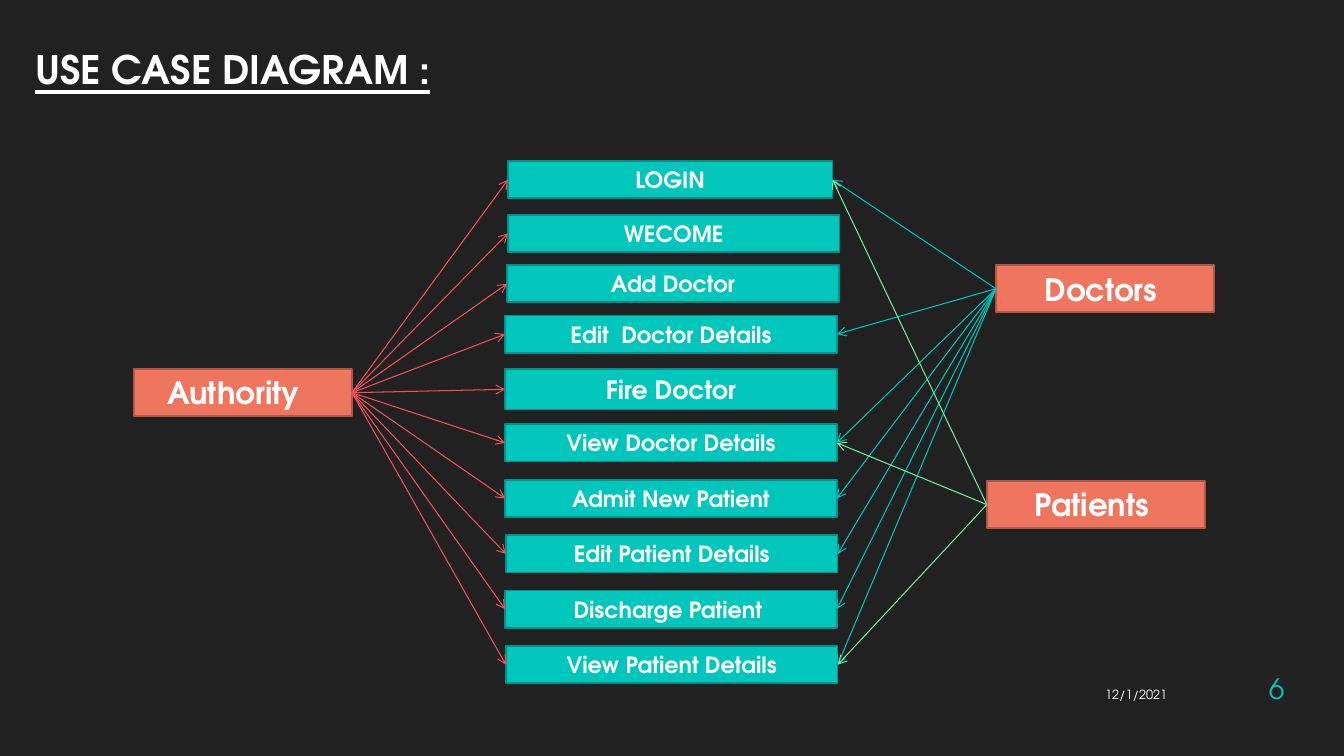
from lxml.etree import SubElement
from pptx import Presentation
from pptx.dml.color import RGBColor
from pptx.enum.shapes import MSO_CONNECTOR, MSO_SHAPE
from pptx.enum.text import MSO_ANCHOR, MSO_AUTO_SIZE, PP_ALIGN
from pptx.oxml.ns import qn
from pptx.util import Cm, Pt

FONT = "TeX Gyre Adventor"
WHITE, TEAL, CORAL = "FFFFFF", "00C6BB", "EF755F"
LEFT_SIDE, RIGHT_SIDE = 1, 3  # connection sites of a rectangle

# text: left, top, width, height in cm, font size
CASES = {
    "LOGIN": (12.8, 4.06, 8.18, 0.94, 16),
    "WECOME": (12.8, 5.41, 8.36, 0.94, 16),
    "Add Doctor": (12.78, 6.68, 8.36, 0.94, 16),
    "Edit  Doctor Details": (12.73, 7.95, 8.36, 0.94, 16),
    "Fire Doctor": (12.73, 9.3, 8.36, 1.02, 18),
    "View Doctor Details": (12.73, 10.69, 8.36, 0.94, 16),
    "Admit New Patient": (12.73, 12.09, 8.36, 0.94, 16),
    "Edit Patient Details": (12.75, 13.49, 8.36, 0.94, 16),
    "Discharge Patient ": (12.73, 14.88, 8.36, 0.94, 16),
    "View Patient Details": (12.75, 16.28, 8.36, 0.94, 16),
}
NAMES = list(CASES)
# role, left, top, extra right margin, arrow colour, cases it reaches
ROLES = [
    ("Authority", 3.38, 9.3, 0.48, "ED515C", NAMES),
    ("Doctors", 25.1, 6.68, 0.2, TEAL, [NAMES[0], NAMES[3], *NAMES[5:]]),
    ("Patients", 24.87, 12.12, 0.2, "6FEBA0", [NAMES[0], NAMES[5], NAMES[9]]),
]
# text, place, font format, alignment, anchor, bottom margin
LABELS = [
    ("USE CASE DIAGRAM :", (0.64, 1.02, 11.15, 1.45),
     {"size": Pt(28), "bold": True, "underline": True},
     PP_ALIGN.LEFT, MSO_ANCHOR.TOP, 0.13),
    ("12/1/2021", (25.93, 16.79, 3.73, 1.02), {"size": Pt(9)},
     PP_ALIGN.RIGHT, MSO_ANCHOR.BOTTOM, 0.13),
    ("6", (29.67, 16.43, 2.95, 1.37), {"size": Pt(20), "color": TEAL},
     PP_ALIGN.RIGHT, MSO_ANCHOR.BOTTOM, 0.03),
]


def paint(fill, hue):
    fill.solid()
    fill.fore_color.rgb = RGBColor.from_string(hue)


def write(shape, text, style, align, anchor):
    frame = shape.text_frame
    frame.word_wrap = True
    frame.vertical_anchor = anchor
    para = frame.paragraphs[0]
    para.alignment = align
    run = para.add_run()
    run.text = text
    look = {"name": FONT, "color": WHITE, **style}
    paint(run.font.fill, look.pop("color"))
    for key, value in look.items():
        setattr(run.font, key, value)
    return frame


def add_box(slide, text, place, size, fill, edge):
    box = slide.shapes.add_shape(MSO_SHAPE.RECTANGLE, *map(Cm, place))
    box.shadow.inherit = False
    paint(box.fill, fill)
    paint(box.line.fill, edge)
    box.line.width = Pt(1.25)
    frame = write(box, text, {"size": Pt(size), "bold": True},
                  PP_ALIGN.CENTER, MSO_ANCHOR.MIDDLE)
    frame.auto_size = MSO_AUTO_SIZE.SHAPE_TO_FIT_TEXT
    return box


def add_arrow(slide, role, case, hue):
    arrow = slide.shapes.add_connector(MSO_CONNECTOR.STRAIGHT, 0, 0, 0, 0)
    ends = (RIGHT_SIDE, LEFT_SIDE) if role.left < case.left else (LEFT_SIDE, RIGHT_SIDE)
    arrow.begin_connect(role, ends[0])
    arrow.end_connect(case, ends[1])
    paint(arrow.line.fill, hue)
    arrow.line.width = Pt(0.75)
    SubElement(arrow.line._get_or_add_ln(), qn("a:tailEnd"), type="arrow")
    SubElement(arrow._element.spPr, qn("a:effectLst"))


def main():
    deck = Presentation()
    deck.slide_width, deck.slide_height = Cm(33.87), Cm(19.05)
    slide = deck.slides.add_slide(deck.slide_layouts[6])
    paint(slide.background.fill, "212121")

    for text, place, style, align, anchor, foot in LABELS:
        label = slide.shapes.add_textbox(*map(Cm, place))
        write(label, text, style, align, anchor).margin_bottom = Cm(foot)

    cases = {text: add_box(slide, text, place, size, TEAL, "00928A")
             for text, (*place, size) in CASES.items()}

    for text, left, top, pad, hue, goals in ROLES:
        role = add_box(slide, text, (left, top, 5.49, 1.19), 22, CORAL, "B15746")
        role.text_frame.margin_right = Cm(0.25 + pad)
        for goal in goals:
            add_arrow(slide, role, cases[goal], hue)

    deck.save("out.pptx")


if __name__ == "__main__":
    main()
